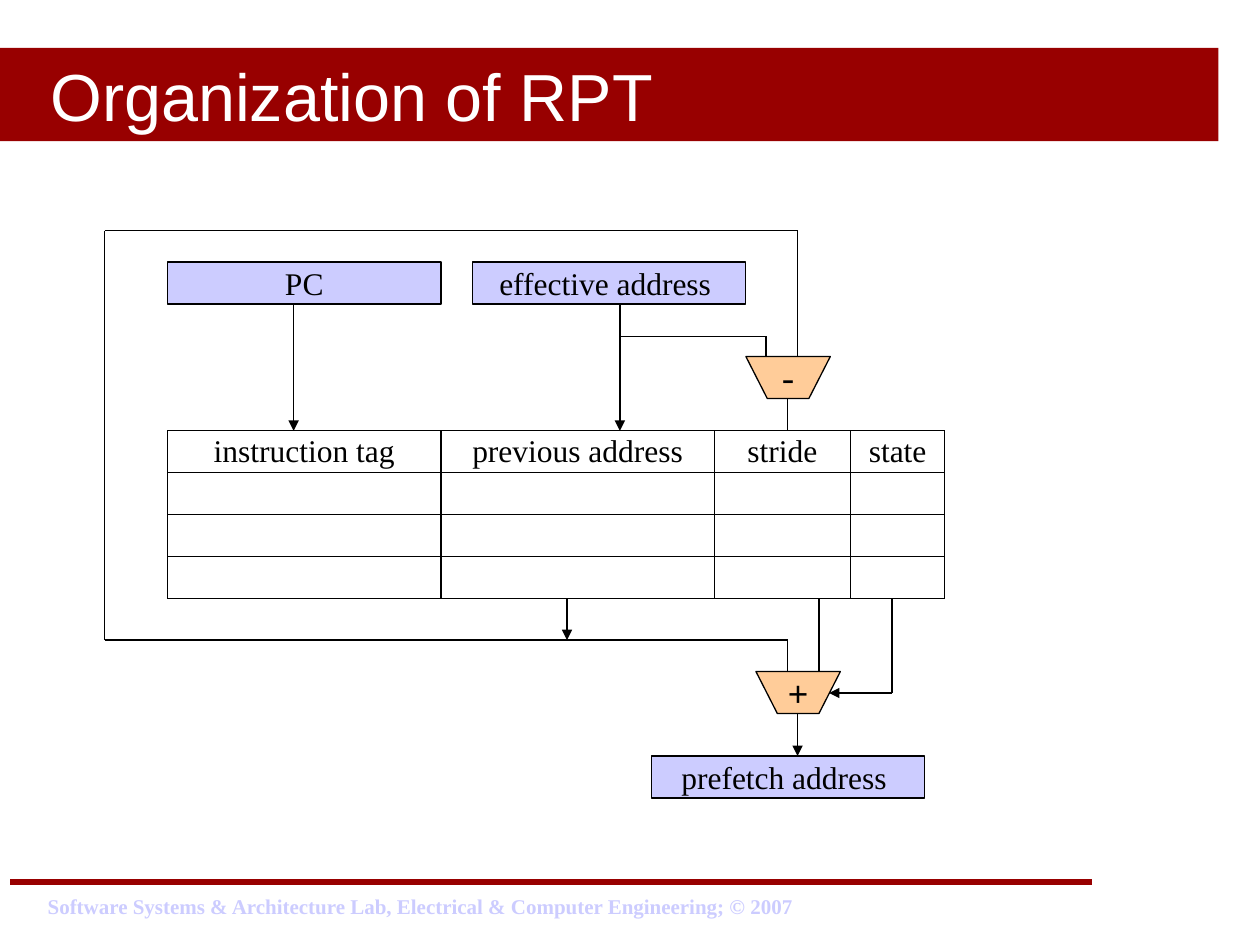
from itertools import pairwise

from lxml import etree
from pptx import Presentation
from pptx.dml.color import RGBColor
from pptx.enum import shapes, text
from pptx.oxml import ns
from pptx.util import Inches, Pt

RED = RGBColor(0x98, 0x00, 0x00)
LILAC = RGBColor(0xCC, 0xCC, 0xFF)
PEACH = RGBColor(0xFF, 0xCC, 0x99)
BLACK = RGBColor(0, 0, 0)
WHITE = RGBColor(0xFF, 0xFF, 0xFF)
SERIF = "Times New Roman"
THIN = 0.75
ROW = 0.333
HEADS = {"instruction tag": 2.17, "previous address": 2.17,
         "stride": 1.08, "state": 0.75}
BOXES = [("PC", 1.33, 2.08), ("effective address ", 3.75, 2.08),
         ("prefetch address ", 5.17, 6)]
UNITS = [("-", 5.92, 2.83), ("+", 6, 5.33)]
# Each wire: its corner points, and whether it ends in an arrowhead
WIRES = [
    ([(2.33, 2.42), (2.33, 3.42)], True),
    ([(4.92, 2.42), (4.92, 3.42)], True),
    ([(4.92, 2.67), (6.08, 2.67), (6.08, 2.83)], False),
    ([(6.25, 3.17), (6.25, 3.42)], False),
    ([(6.5, 4.75), (6.5, 5.33)], False),
    ([(4.5, 4.75), (4.5, 5.08)], True),
    ([(6.25, 5.33), (6.25, 5.08), (0.83, 5.08), (0.83, 1.83),
      (6.33, 1.83), (6.33, 2.83)], False),
    ([(6.33, 5.67), (6.33, 6)], True),
    ([(7.08, 4.75), (7.08, 5.5), (6.58, 5.5)], True),
]


def inches(*nums):
    return [Inches(n) for n in nums]


def add_sub(node, tag, **attrs):
    return etree.SubElement(node, ns.qn(tag), attrs)


def set_text(frame, words, size, color=BLACK, face=SERIF, bold=False,
             align=text.PP_ALIGN.CENTER):
    para = frame.paragraphs[0]
    para.alignment = align
    run = para.add_run()
    run.text = words
    style = {"name": face, "size": Pt(size), "bold": bold}
    for key, val in style.items():
        setattr(run.font, key, val)
    run.font.color.rgb = color


def paint(shape, fill):
    shape.shadow.inherit = False
    shape.fill.solid()
    shape.fill.fore_color.rgb = fill
    shape.line.color.rgb = BLACK
    shape.line.width = Pt(THIN)
    shape.text_frame.word_wrap = False
    shape.text_frame.vertical_anchor = text.MSO_ANCHOR.MIDDLE


def add_line(slide, start, end, color=BLACK, width=THIN, arrow=False):
    line = slide.shapes.add_connector(
        shapes.MSO_CONNECTOR.STRAIGHT, *inches(*start, *end))
    line.line.color.rgb = color
    line.line.width = Pt(width)
    if arrow:
        add_sub(line.line._get_or_add_ln(), "a:tailEnd", type="triangle")
    add_sub(line._element.spPr, "a:effectLst")


def add_wire(slide, points, arrow):
    for start, end in pairwise(points):
        add_line(slide, start, end, arrow=arrow and end == points[-1])


def add_box(slide, words, left, top):
    box = slide.shapes.add_shape(
        shapes.MSO_SHAPE.RECTANGLE, *inches(left, top, 2.17, ROW))
    paint(box, LILAC)
    set_text(box.text_frame, words, 18)


def add_unit(slide, sign, left, top):
    """Draw an arithmetic unit: a trapezoid with its wide side up."""
    form = slide.shapes.build_freeform(*inches(left, top), scale=1.0)
    corners = [(0.67, 0), (0.5, ROW), (0.17, ROW)]
    form.add_line_segments(
        [inches(left + x, top + y) for x, y in corners], close=True)
    unit = form.convert_to_shape()
    paint(unit, PEACH)
    set_text(unit.text_frame, sign, 20, face="Courier New")


def add_border(cell):
    props = cell._tc.get_or_add_tcPr()
    for side in ("a:lnL", "a:lnR", "a:lnT", "a:lnB"):
        edge = add_sub(props, side, w=str(Pt(THIN)))
        add_sub(add_sub(edge, "a:solidFill"), "a:srgbClr", val=str(BLACK))


def add_grid(slide, left, top, rows):
    frame = slide.shapes.add_table(
        rows, len(HEADS), *inches(left, top, sum(HEADS.values()), rows * ROW))
    table = frame.table
    table.first_row = table.horz_banding = False
    for col, width in zip(table.columns, HEADS.values()):
        col.width = Inches(width)
    for row in table.rows:
        row.height = Inches(ROW)
    for cell in table.iter_cells():
        cell.margin_top = cell.margin_bottom = 0
        cell.vertical_anchor = text.MSO_ANCHOR.MIDDLE
        cell.text_frame.paragraphs[0].font.size = Pt(18)
        add_border(cell)
        cell.fill.background()
    for cell, words in zip(table.rows[0].cells, HEADS):
        set_text(cell.text_frame, words, 18)


def add_title(slide, words):
    title = slide.shapes.title
    place = {"left": 0, "top": 0.38, "width": 9.67, "height": 0.74}
    for key, val in place.items():
        setattr(title, key, Inches(val))
    title.fill.solid()
    title.fill.fore_color.rgb = RED
    frame = title.text_frame
    frame.margin_left = Inches(0.4)
    frame.vertical_anchor = text.MSO_ANCHOR.MIDDLE
    frame.auto_size = text.MSO_AUTO_SIZE.NONE
    set_text(frame, words, 38, WHITE, "Arial", align=text.PP_ALIGN.LEFT)


def add_footer(slide, words):
    add_line(slide, (0.08, 7), (8.67, 7), RED, 3)
    note = slide.shapes.add_textbox(*inches(0.28, 7.04, 6.14, 0.3))
    note.text_frame.word_wrap = False
    set_text(note.text_frame, words, 12, LILAC, bold=True,
             align=text.PP_ALIGN.LEFT)


def main():
    deck = Presentation()
    deck.slide_width, deck.slide_height = inches(10, 7.5)
    slide = deck.slides.add_slide(deck.slide_layouts[5])
    add_footer(slide, "Software Systems & Architecture Lab, "
                      "Electrical & Computer Engineering; © 2007")
    add_title(slide, "Organization of RPT")
    add_grid(slide, 1.33, 3.42, 4)
    for box in BOXES:
        add_box(slide, *box)
    for unit in UNITS:
        add_unit(slide, *unit)
    for wire in WIRES:
        add_wire(slide, *wire)
    deck.save("out.pptx")


if __name__ == "__main__":
    main()
